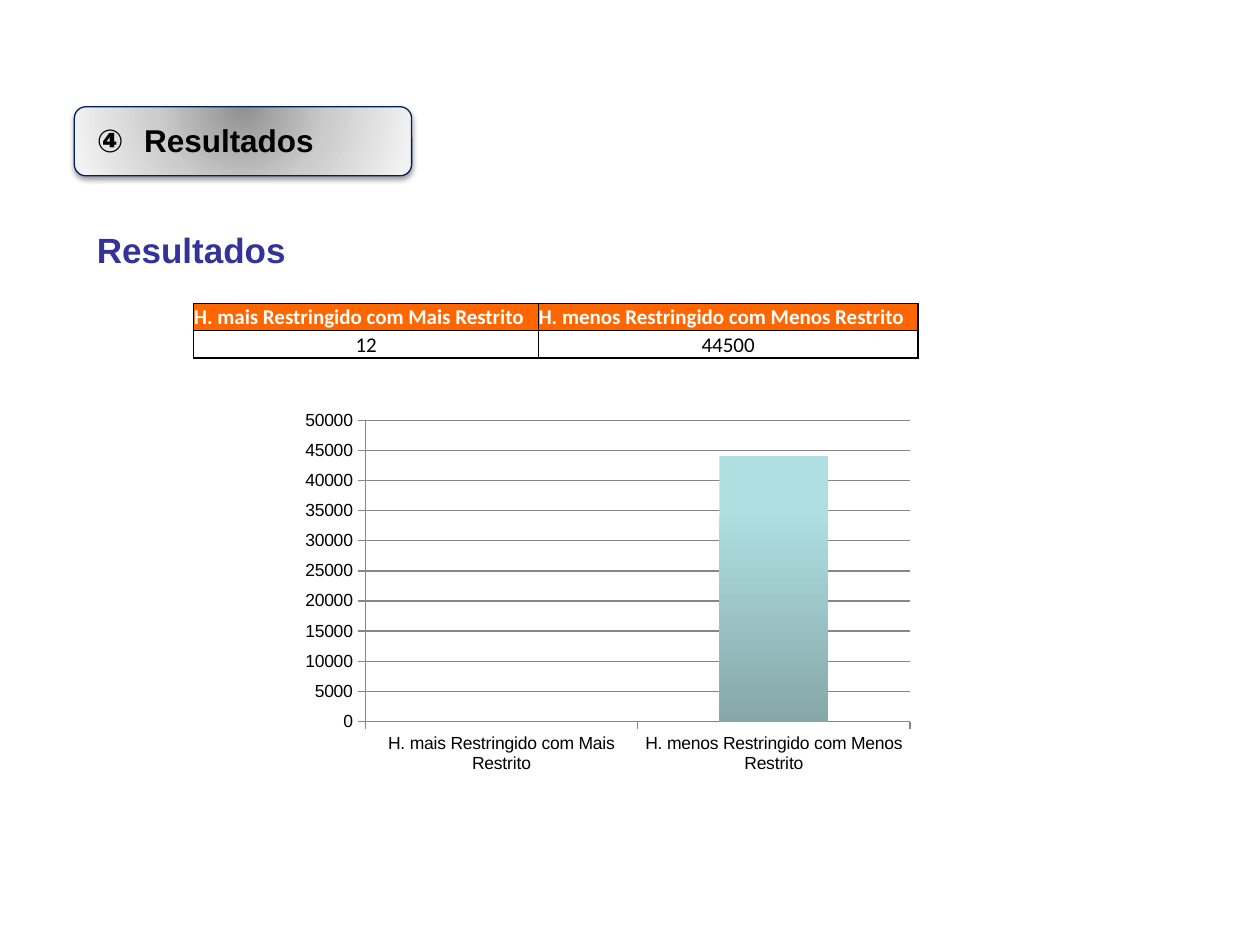
import pptx
import pptx.chart.data
import pptx.dml.color
import pptx.enum.chart
import pptx.enum.dml
import pptx.enum.shapes
import pptx.enum.text
import pptx.oxml
import pptx.oxml.ns
import pptx.util
from lxml import etree

Pt = pptx.util.Pt
RGBColor = pptx.dml.color.RGBColor
PP_ALIGN = pptx.enum.text.PP_ALIGN

BLACK = RGBColor(0x00, 0x00, 0x00)
WHITE = RGBColor(0xFF, 0xFF, 0xFF)
NAVY = RGBColor(0x00, 0x20, 0x60)
INDIGO = RGBColor(0x33, 0x33, 0x99)
ORANGE = RGBColor(0xFF, 0x66, 0x00)
GREY = RGBColor(0x86, 0x86, 0x86)
AQUA = RGBColor(0xAF, 0xDF, 0xE1)
TEAL = RGBColor(0x86, 0xA8, 0xA9)
BADGE_STOPS = [
    (0, RGBColor(0x90, 0x90, 0x90)),
    (50, RGBColor(0xCC, 0xCC, 0xCC)),
    (100, RGBColor(0xF2, 0xF2, 0xF2)),
]


def add_xml(parent, tag, **attributes):
    child = etree.SubElement(parent, pptx.oxml.ns.qn(tag))
    for name, value in attributes.items():
        child.set(name, str(value))
    return child


class ResultsSlide:
    heading_font = "Arial"
    table_font = "Calibri"

    def __init__(self, presentation):
        self.slide = presentation.slides.add_slide(presentation.slide_layouts[6])

    def style(self, paragraph, font_name, size, color, bold):
        for run in paragraph.runs:
            run.font.name = font_name
            run.font.size = Pt(size)
            run.font.bold = bold
            run.font.color.rgb = color

    def badge(self, left, top, width, height):
        badge = self.slide.shapes.add_shape(
            pptx.enum.shapes.MSO_SHAPE.ROUNDED_RECTANGLE,
            Pt(left), Pt(top), Pt(width), Pt(height))
        badge.line.color.rgb = NAVY
        badge.line.width = Pt(0.75)
        badge.shadow.inherit = False
        badge.fill.gradient()
        properties = badge.element.spPr
        gradient = properties.find(pptx.oxml.ns.qn("a:gradFill"))
        for child in list(gradient):
            gradient.remove(child)
        stops = add_xml(gradient, "a:gsLst")
        for percent, color in BADGE_STOPS:
            stop = add_xml(stops, "a:gs", pos=percent * 1000)
            add_xml(stop, "a:srgbClr", val=color)
        radial = add_xml(gradient, "a:path", path="circle")
        add_xml(radial, "a:fillToRect", l=50000, r=50000, b=100000)
        effects = properties.find(pptx.oxml.ns.qn("a:effectLst"))
        shadow = add_xml(effects, "a:outerShdw", blurRad=Pt(3.1), dist=Pt(1.6),
                         dir=90 * 60000, rotWithShape=0)
        add_xml(add_xml(shadow, "a:srgbClr", val=BLACK), "a:alpha", val=38000)

    def heading(self, text, left, top, width, height, size, color, number=None):
        box = self.slide.shapes.add_textbox(Pt(left), Pt(top), Pt(width), Pt(height))
        box.text_frame.word_wrap = True
        box.text_frame.text = text
        paragraph = box.text_frame.paragraphs[0]
        self.style(paragraph, self.heading_font, size, color, True)
        if number:
            properties = paragraph._p.get_or_add_pPr()
            properties.set("marL", str(Pt(27)))
            properties.set("indent", str(-Pt(27)))
            add_xml(properties, "a:buFontTx")
            add_xml(properties, "a:buAutoNum", type="circleNumDbPlain", startAt=number)

    def border(self, cell, widths):
        properties = cell._tc.get_or_add_tcPr()
        for position, (side, width) in enumerate(zip("LRTB", widths)):
            line = etree.Element(pptx.oxml.ns.qn("a:ln" + side), w=str(Pt(width)))
            add_xml(add_xml(line, "a:solidFill"), "a:srgbClr", val=BLACK)
            properties.insert(position, line)

    def table(self, rows, left, top, column_widths, row_heights):
        table = self.slide.shapes.add_table(
            len(rows), len(column_widths), Pt(left), Pt(top),
            Pt(sum(column_widths)), Pt(sum(row_heights))).table
        for column, width in zip(table.columns, column_widths):
            column.width = Pt(width)
        for r, (values, height) in enumerate(zip(rows, row_heights)):
            table.rows[r].height = Pt(height)
            header = r == 0
            for c, value in enumerate(values):
                cell = table.cell(r, c)
                cell.margin_left = cell.margin_right = Pt(0)
                cell.margin_top = cell.margin_bottom = Pt(0)
                cell.vertical_anchor = pptx.enum.text.MSO_ANCHOR.BOTTOM
                cell.text_frame.text = value
                paragraph = cell.text_frame.paragraphs[0]
                paragraph.alignment = PP_ALIGN.LEFT if header else PP_ALIGN.CENTER
                self.style(paragraph, self.table_font, 12,
                           WHITE if header else BLACK, header)
                if header:
                    cell.fill.solid()
                    cell.fill.fore_color.rgb = ORANGE
                else:
                    cell.fill.background()
                last_column = c == len(values) - 1
                self.border(cell, (0.5, 1 if last_column else 0.5,
                                   1 if header else 0.5, 0.5 if header else 1))

    def column_chart(self, categories, values, left, top, width, height):
        data = pptx.chart.data.CategoryChartData(number_format="0")
        data.categories = categories
        data.add_series("Series 1", values)
        chart = self.slide.shapes.add_chart(
            pptx.enum.chart.XL_CHART_TYPE.COLUMN_CLUSTERED,
            Pt(left), Pt(top), Pt(width), Pt(height), data).chart
        chart.has_legend = False
        chart.has_title = False
        chart.font.name = self.heading_font
        chart.font.size = Pt(10)
        chart.font.color.rgb = BLACK
        plot = chart.plots[0]
        plot.gap_width = 150
        plot.vary_by_categories = False
        bars = plot.series[0].format.fill
        bars.gradient()
        bars.gradient_angle = 270
        for stop, color, position in zip(bars.gradient_stops, (AQUA, TEAL), (0.2, 1)):
            stop.color.rgb = color
            stop.position = position
        amounts = chart.value_axis
        amounts.minimum_scale = 0
        amounts.maximum_scale = 50000
        amounts.major_unit = 5000
        amounts.has_major_gridlines = True
        amounts.tick_labels.number_format = "0"
        amounts.tick_labels.number_format_is_linked = False
        for axis in (amounts, chart.category_axis):
            axis.major_tick_mark = pptx.enum.chart.XL_TICK_MARK.OUTSIDE
        for part in (amounts, chart.category_axis, amounts.major_gridlines):
            part.format.line.color.rgb = GREY
            part.format.line.width = Pt(0.75)


presentation = pptx.Presentation()
presentation.slide_width = Pt(720)
presentation.slide_height = Pt(540)

heuristics = ["H. mais Restringido com Mais Restrito",
              "H. menos Restringido com Menos Restrito"]

slide = ResultsSlide(presentation)
slide.badge(42.5, 61, 192.75, 39.5)
slide.heading("Resultados", 48.25, 65.5, 391, 29, 18, BLACK, number=4)
slide.heading("Resultados", 48.25, 127, 635, 55.5, 20, INDIGO)
slide.table([heuristics, ["12", "44500"]], 110.75, 173.5, [197, 216.75], [15.25, 15.75])
slide.column_chart(heuristics, [0, 44000], 167.25, 230.25, 360, 216)
presentation.save("out.pptx")
